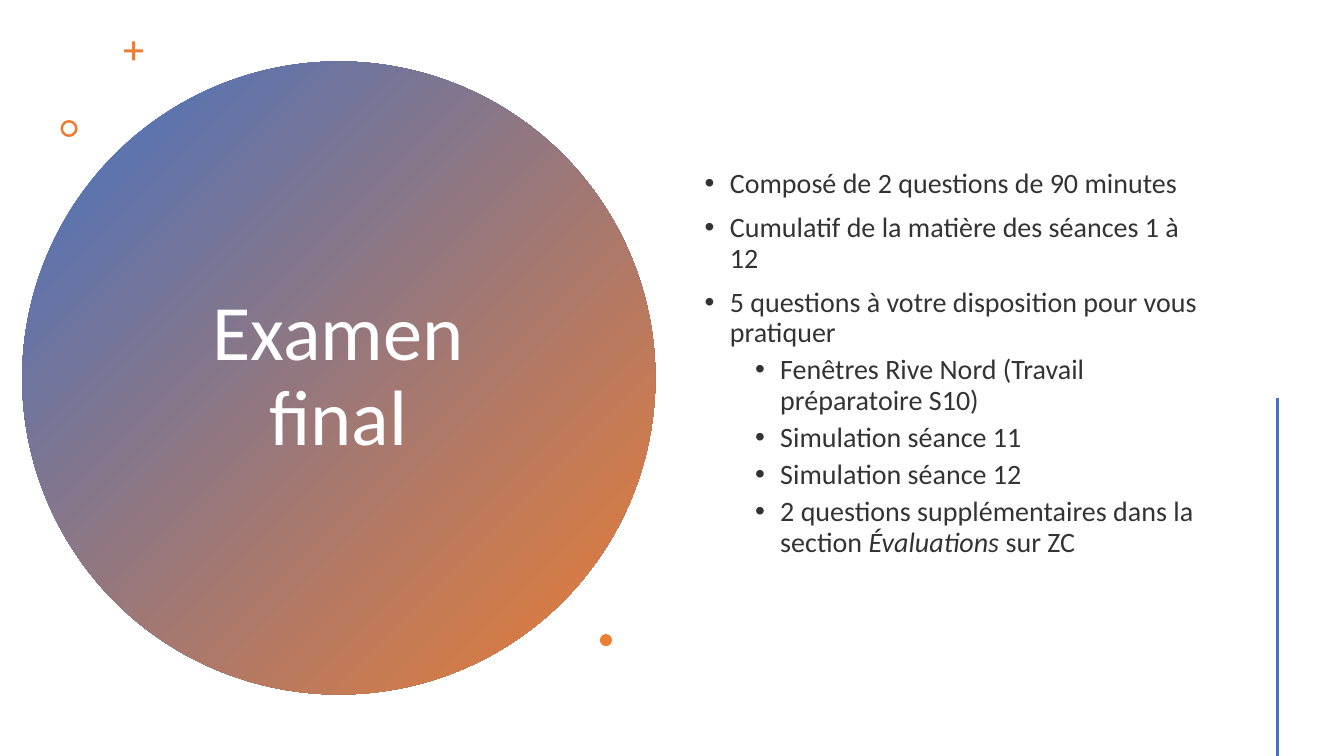
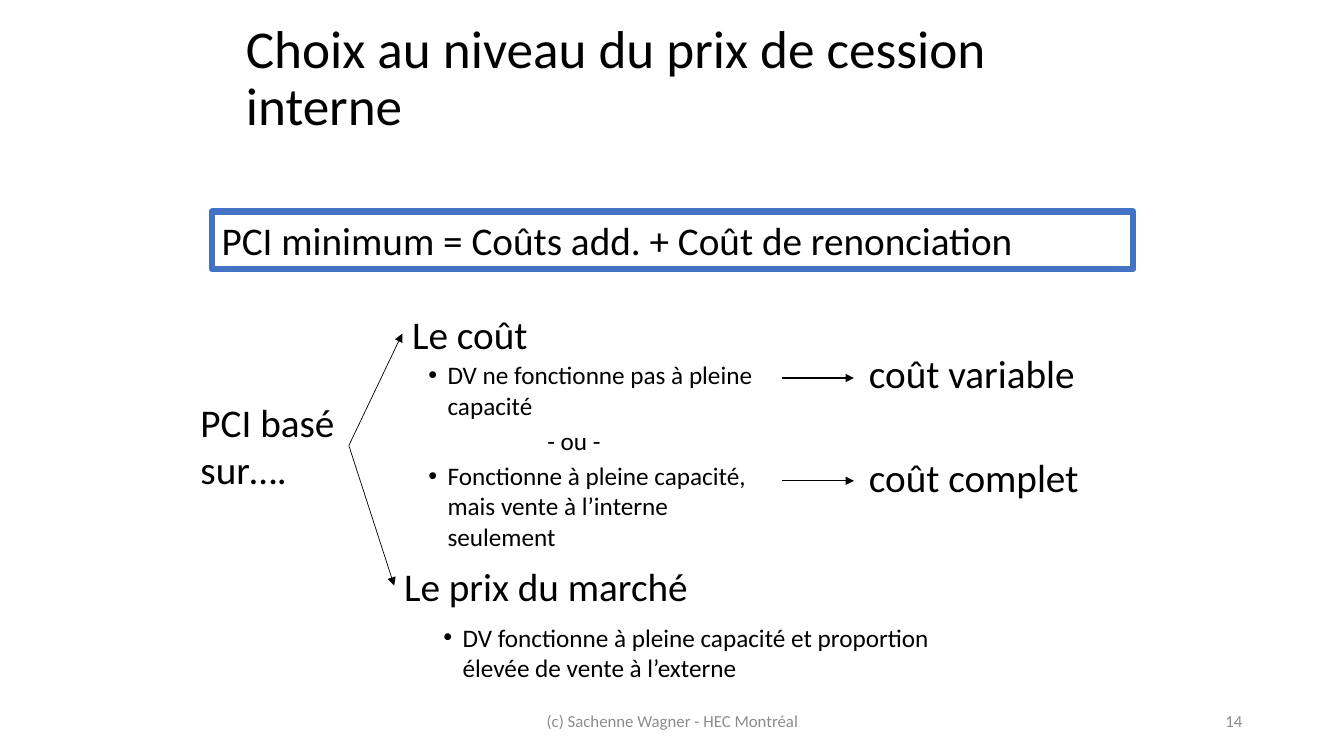
from lxml import etree
from pptx import Presentation
from pptx.dml.color import RGBColor
from pptx.enum import shapes, text
from pptx.oxml import ns
from pptx.util import Inches, Pt

FONT = "Calibri"
BLUE = RGBColor(0x44, 0x72, 0xC4)
ORANGE = RGBColor(0xED, 0x7D, 0x31)
BLACK = RGBColor(0, 0, 0)
WHITE = RGBColor(0xFF, 0xFF, 0xFF)
CHARCOAL = RGBColor(0x33, 0x33, 0x33)
GREY = RGBColor(0x8C, 0x8C, 0x8C)
LEFT, CENTER, RIGHT = text.PP_ALIGN.LEFT, text.PP_ALIGN.CENTER, text.PP_ALIGN.RIGHT
TOP, MIDDLE = text.MSO_ANCHOR.TOP, text.MSO_ANCHOR.MIDDLE

# Paragraph levels: left margin, hanging indent (inches), space before (points), bullet
PLAIN = (0, 0, 0, False)
MAIN = (0.25, 0.25, 10, True)
SUB = (0.75, 0.25, 5, True)
CASE = (0.19, 0.19, 3.6, True)
OR = (1.18, 0, 3.6, False)

# Slide 1 content: level, then runs; every second run is italic
EXAM_TITLE = "Examen final"
EXAM_POINTS = [
    (MAIN, ["Composé de 2 questions de 90 minutes"]),
    (MAIN, ["Cumulatif de la matière des séances 1 à 12"]),
    (MAIN, ["5 questions à votre disposition pour vous pratiquer"]),
    (SUB, ["Fenêtres Rive Nord (Travail préparatoire S10)"]),
    (SUB, ["Simulation séance 11"]),
    (SUB, ["Simulation séance 12"]),
    (SUB, ["2 questions supplémentaires dans la section ", "Évaluations ", "sur ZC"]),
]
ORNAMENTS = [  # preset, left, top, size, adjustment
    (shapes.MSO_SHAPE.CROSS, 1.23, 0.41, 0.19, 0.42),
    (shapes.MSO_SHAPE.DONUT, 0.6, 1.19, 0.17, 0.15),
    (shapes.MSO_SHAPE.OVAL, 5.95, 6.29, 0.12, None),
]

# Slide 2 content
PRICE_TITLE = "Choix au niveau du prix de cession interne"
FORMULA = "PCI minimum = Coûts add. + Coût de renonciation"
FOOTERS = [
    ("(c) Sachenne Wagner - HEC Montréal", (4.42, 6.95, 4.5, 0.4), CENTER),
    ("14", (9.42, 6.95, 3, 0.4), RIGHT),
]
HEADINGS = [
    ("PCI basé sur….", (1.89, 3.9, 1.57, 1.04)),
    ("Le coût", (3.99, 3.03, 1.73, 0.57)),
    ("Le prix du marché", (3.91, 5.53, 4.8, 0.57)),
    ("coût variable", (8.52, 3.42, 2.52, 0.57)),
    ("coût complet", (8.52, 4.45, 2.6, 0.57)),
]
CASES = [
    ((4.15, 3.52, 3.62, 2.04), [
        (CASE, ["DV ne fonctionne pas à pleine capacité"]),
        (OR, ["- ou -"]),
        (CASE, ["Fonctionne à pleine capacité, mais vente à l’interne seulement"]),
    ]),
    ((4.3, 6.12, 5.04, 0.7), [
        (CASE, ["DV fonctionne à pleine capacité et proportion élevée de vente à l’externe"]),
    ]),
]
ARROWS = [  # start, end, width in points
    ((7.76, 3.75), (8.47, 3.75), 0.75),
    ((7.76, 4.77), (8.47, 4.77), 0.75),
    ((3.46, 4.42), (3.99, 3.31), 0.5),
    ((3.46, 4.42), (3.91, 5.81), 0.5),
]


def inches(values):
    return [Inches(value) for value in values]


def write(shape, paragraphs, size, color=BLACK, align=LEFT, anchor=TOP, spacing=1.0):
    frame = shape.text_frame
    frame.word_wrap = True
    frame.vertical_anchor = anchor
    for index, (level, runs) in enumerate(paragraphs):
        margin, hanging, before, bullet = level
        paragraph = frame.add_paragraph() if index else frame.paragraphs[0]
        properties = paragraph._p.get_or_add_pPr()
        properties.set("marL", str(Inches(margin)))
        properties.set("indent", str(-Inches(hanging)))
        if bullet:
            etree.SubElement(properties, ns.qn("a:buFont"), typeface="Arial")
            etree.SubElement(properties, ns.qn("a:buChar"), char="•")
        paragraph.alignment = align
        paragraph.line_spacing = spacing
        paragraph.space_before = Pt(before if index else 0)
        for position, words in enumerate(runs):
            run = paragraph.add_run()
            run.text = words
            run.font.name = FONT
            run.font.size = Pt(size)
            run.font.italic = position % 2 == 1
            run.font.color.rgb = color


def add_text(slide, box, paragraphs, size, **style):
    write(slide.shapes.add_textbox(*inches(box)), paragraphs, size, **style)


def add_title(slide, box, title, size, **style):
    add_text(slide, box, [(PLAIN, [title])], size, anchor=MIDDLE, spacing=0.9, **style)


def add_shape(slide, preset, box):
    shape = slide.shapes.add_shape(preset, *inches(box))
    shape.shadow.inherit = False
    shape.line.fill.background()
    return shape


def add_line(slide, start, end, width, color, arrow=False):
    line = slide.shapes.add_connector(shapes.MSO_CONNECTOR.STRAIGHT, *inches(start + end))
    line.line.color.rgb = color
    line.line.width = Pt(width)
    if arrow:
        etree.SubElement(line.line._get_or_add_ln(), ns.qn("a:tailEnd"), type="triangle")
    etree.SubElement(line._element.spPr, ns.qn("a:effectLst"))


def build_exam(slide):
    # Gradient disc with the title
    disc = add_shape(slide, shapes.MSO_SHAPE.OVAL, (0.22, 0.61, 6.28, 6.28))
    disc.fill.gradient()
    disc.fill.gradient_angle = 315
    for stop, color in zip(disc.fill.gradient_stops, (BLUE, ORANGE)):
        stop.color.rgb = color
    add_title(slide, (1.36, 1.41, 3.99, 4.67), EXAM_TITLE, 56, color=WHITE, align=CENTER)

    # Small ornaments around the disc
    for preset, left, top, size, adjustment in ORNAMENTS:
        ornament = add_shape(slide, preset, (left, top, size, size))
        ornament.fill.solid()
        ornament.fill.fore_color.rgb = ORANGE
        if adjustment is not None:
            ornament.adjustments[0] = adjustment

    # Points and side rule
    add_text(slide, (6.89, 0.71, 5.22, 5.8), EXAM_POINTS, 20,
             color=CHARCOAL, anchor=MIDDLE, spacing=0.9)
    add_line(slide, (12.67, 3.95), (12.67, 7.5), 2, BLUE)


def build_price(slide):
    add_title(slide, (2.34, 0.25, 9, 1.08), PRICE_TITLE, 38)
    for words, box, align in FOOTERS:
        add_text(slide, box, [(PLAIN, [words])], 12, color=GREY, align=align, anchor=MIDDLE)

    # Framed formula
    formula = add_shape(slide, shapes.MSO_SHAPE.RECTANGLE, (2.1, 2.1, 9.14, 0.57))
    formula.fill.background()
    formula.line.color.rgb = BLUE
    formula.line.width = Pt(4.5)
    write(formula, [(PLAIN, [FORMULA])], 28)

    # Decision tree
    for words, box in HEADINGS:
        add_text(slide, box, [(PLAIN, [words])], 28)
    for box, paragraphs in CASES:
        add_text(slide, box, paragraphs, 18)
    for start, end, width in ARROWS:
        add_line(slide, start, end, width, BLACK, arrow=True)


def main():
    deck = Presentation()
    deck.slide_width, deck.slide_height = Inches(13.33), Inches(7.5)
    for build in (build_exam, build_price):
        build(deck.slides.add_slide(deck.slide_layouts[6]))
    deck.save("out.pptx")


if __name__ == "__main__":
    main()
